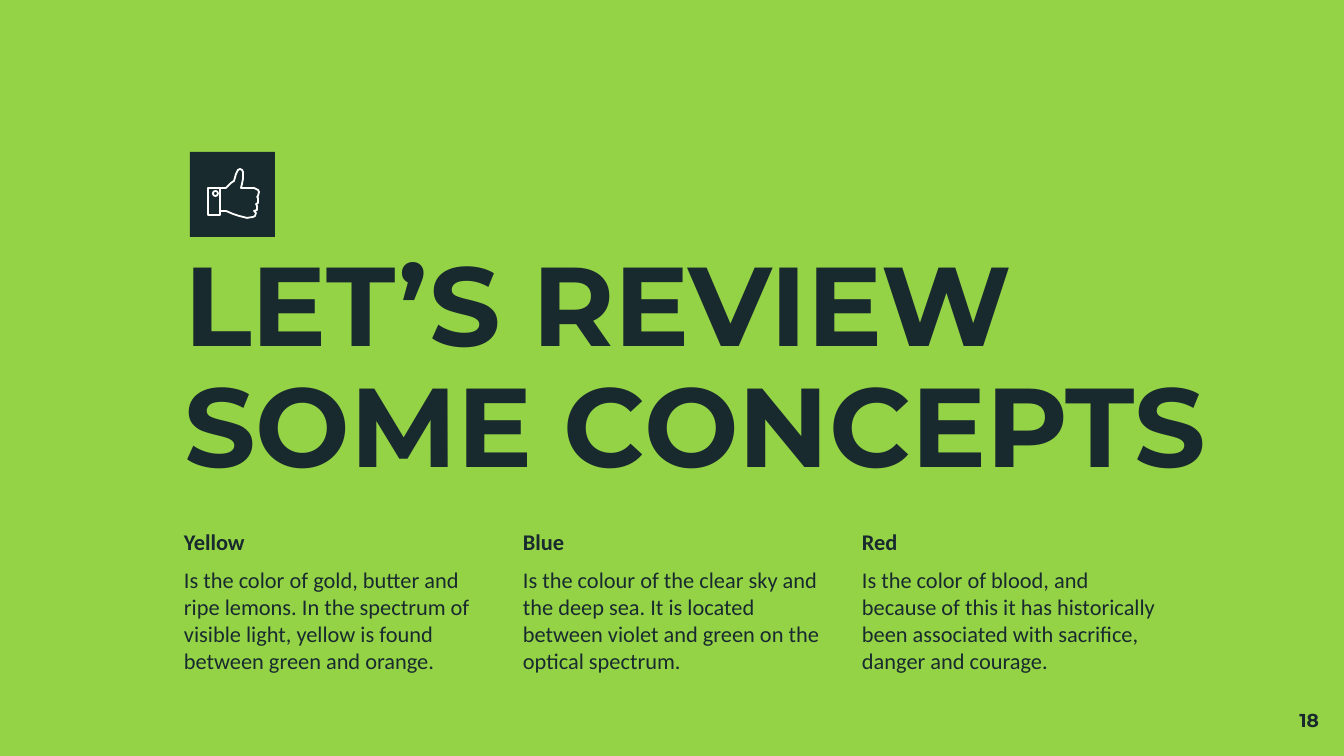
from pptx import Presentation
from pptx.dml.color import RGBColor
from pptx.enum.shapes import MSO_SHAPE
from pptx.enum.text import MSO_ANCHOR, PP_ALIGN
from pptx.util import Emu, Pt

EMU_PER_PX = 914400 / 134.4
RECTANGLE, OVAL = MSO_SHAPE.RECTANGLE, MSO_SHAPE.OVAL
TOP = MSO_ANCHOR.TOP
LEFT, RIGHT = PP_ALIGN.LEFT, PP_ALIGN.RIGHT

COLORS = {"background": "95D346", "dark": "182A2E", "icon": "FFFFFF"}
HEADING_FONT, BODY_FONT = "Montserrat", "Calibri"
INSET = 13

COLUMN_LEFT, COLUMN_TOP, COLUMN_STEP = 171, 515, 339
CONCEPTS = [
    ("Yellow", "Is the color of gold, butter and ripe lemons. In the spectrum of "
               "visible light, yellow is found between green and orange."),
    ("Blue", "Is the colour of the clear sky and the deep sea. It is located "
             "between violet and green on the optical spectrum."),
    ("Red", "Is the color of blood, and because of this it has historically "
            "been associated with sacrifice, danger and courage."),
]

CUFF = [(208, 188), (208, 215), (220, 215), (220, 188)]
HAND = [
    (220, 211), (226, 211), (233, 214), (239, 216), (247, 218), (253, 217),
    (255, 216), (256, 213), (254, 211), (257, 210), (257, 206), (256, 204),
    (258, 203), (258, 198), (257, 197), (258, 196), (259, 192), (258, 190),
    (254, 188), (248, 188), (241, 188), (242, 184), (243, 179), (243, 172),
    (242, 170), (240, 169), (238, 170), (236, 174), (234, 181), (231, 183),
    (226, 188), (220, 188),
]


def px(value):
    return Emu(round(value * EMU_PER_PX))


def color(name):
    return RGBColor.from_string(COLORS[name])


def add_text(slide, box, paragraphs, font, size, align=LEFT, line_spacing=None, space_before=0):
    """Add a text box; paragraphs is a list of (text, bold) pairs."""
    shape = slide.shapes.add_textbox(*map(px, box))
    frame = shape.text_frame
    frame.word_wrap = True
    frame.vertical_anchor = TOP
    frame.margin_left = frame.margin_right = px(INSET)
    frame.margin_top = frame.margin_bottom = px(INSET)
    for index, (text, bold) in enumerate(paragraphs):
        paragraph = frame.add_paragraph() if index else frame.paragraphs[0]
        paragraph.text = text
        paragraph.alignment = align
        paragraph.space_before = Pt(space_before)
        if line_spacing:
            paragraph.line_spacing = line_spacing
        paragraph.font.name = font
        paragraph.font.size = Pt(size)
        paragraph.font.bold = bold
        paragraph.font.color.rgb = color("dark")


def outline(shape):
    shape.shadow.inherit = False
    shape.fill.background()
    shape.line.color.rgb = color("icon")
    shape.line.width = Pt(0.96)


def add_outline(slide, points, close):
    builder = slide.shapes.build_freeform(*points[0], scale=EMU_PER_PX)
    builder.add_line_segments(points[1:], close=close)
    outline(builder.convert_to_shape())


def add_thumb_icon(slide):
    square = slide.shapes.add_shape(RECTANGLE, px(190), px(152), px(85), px(85))
    square.shadow.inherit = False
    square.fill.solid()
    square.fill.fore_color.rgb = color("dark")
    square.line.fill.background()
    add_outline(slide, CUFF, close=True)
    outline(slide.shapes.add_shape(OVAL, px(213), px(191), px(5), px(5)))
    add_outline(slide, HAND, close=False)


def main():
    presentation = Presentation()
    presentation.slide_width, presentation.slide_height = px(1344), px(756)
    slide = presentation.slides.add_slide(presentation.slide_layouts[6])
    slide.background.fill.solid()
    slide.background.fill.fore_color.rgb = color("background")

    add_thumb_icon(slide)
    add_text(slide, (171, 237, 1067, 284), [("LET’S REVIEW SOME CONCEPTS", True)],
             HEADING_FONT, 60, line_spacing=0.9)
    for index, (name, description) in enumerate(CONCEPTS):
        box = (COLUMN_LEFT + index * COLUMN_STEP, COLUMN_TOP, 323, 192)
        add_text(slide, box, [(name, True), (description, False)],
                 BODY_FONT, 12, space_before=6)
    add_text(slide, (1251, 698, 81, 58), [("18", True)], HEADING_FONT, 10, align=RIGHT)
    presentation.save("out.pptx")


if __name__ == "__main__":
    main()
